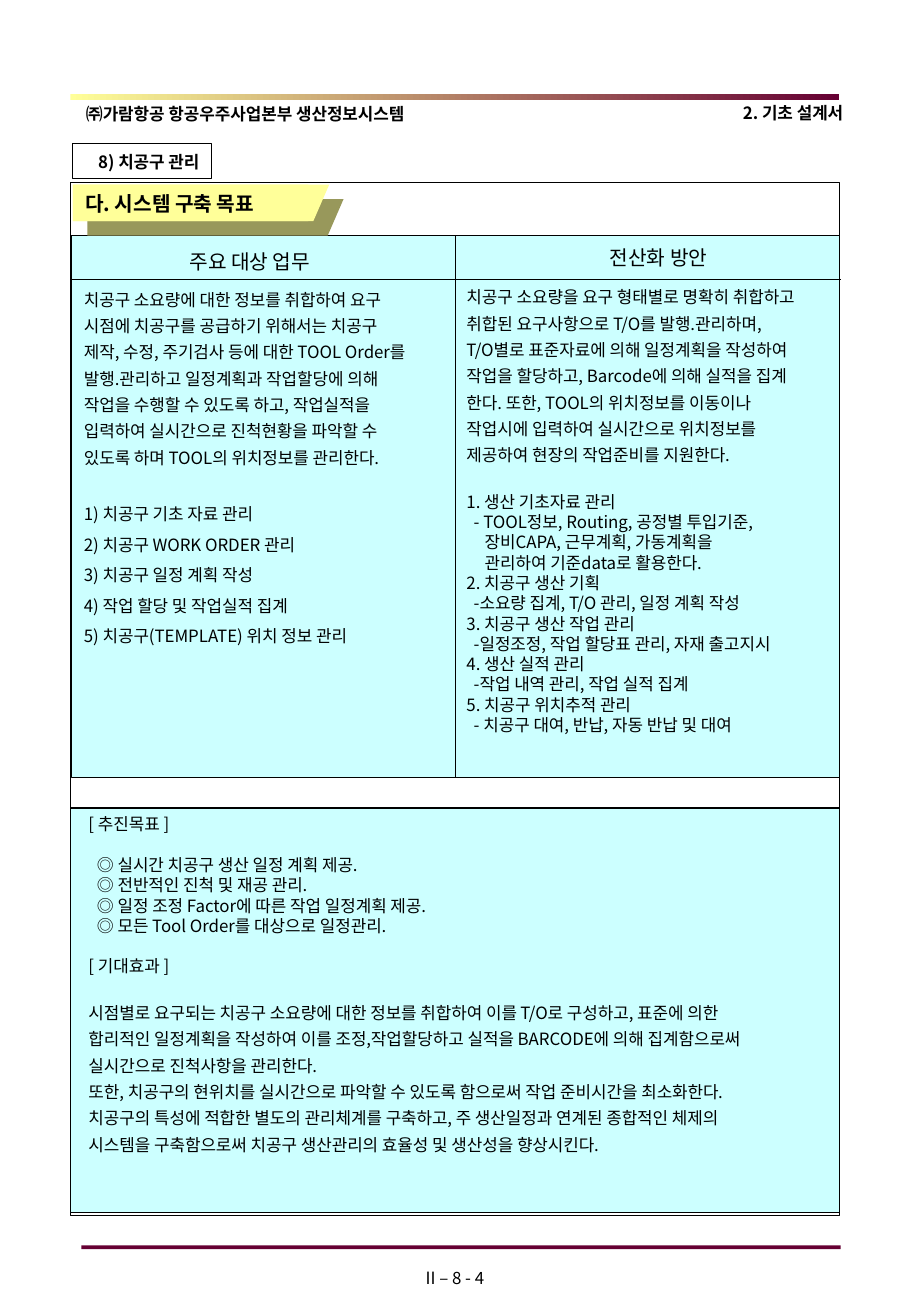
import pptx
import pptx.dml.color
import pptx.enum.shapes
import pptx.enum.text
import pptx.oxml.ns
import pptx.util
from lxml import etree

PX = 9144  # one px is a hundredth of an inch
FONT = "Noto Sans CJK KR"
BLACK, WINE, CREAM, OLIVE, CYAN = "000000", "660033", "FFFF99", "98985B", "CCFFFF"
LEFT, CENTER, RIGHT = (getattr(pptx.enum.text.PP_ALIGN, name) for name in ("LEFT", "CENTER", "RIGHT"))
BLANK_WIDE, BLANK = 15.6, 12


def color(value):
    return pptx.dml.color.RGBColor.from_string(value)


def add_child(parent, tag, **attributes):
    return etree.SubElement(parent, pptx.oxml.ns.qn(tag), attributes)


def paint(shape, fill=None, line=None, width=0.75):
    shape.shadow.inherit = False
    if fill:
        shape.fill.solid()
        shape.fill.fore_color.rgb = color(fill)
    else:
        shape.fill.background()
    if line:
        shape.line.color.rgb = color(line)
        shape.line.width = pptx.util.Pt(width)
    else:
        shape.line.fill.background()


def add_rect(page, box, fill=None, line=None, width=0.75):
    rect = page.shapes.add_shape(pptx.enum.shapes.MSO_SHAPE.RECTANGLE, *(n * PX for n in box))
    paint(rect, fill, line, width)
    return rect


def add_line(page, x1, y1, x2, y2):
    line = page.shapes.add_connector(
        pptx.enum.shapes.MSO_CONNECTOR.STRAIGHT, x1 * PX, y1 * PX, x2 * PX, y2 * PX)
    line.line.color.rgb = color(BLACK)
    line.line.width = pptx.util.Pt(0.75)
    add_child(line.element.spPr, "a:effectLst")
    return line


def block(texts, spacing=1.0, before=0, indent=0):
    """Lines sharing spacing and indent; before is the gap above the first, in points."""
    return [(text, spacing, 0 if i else before, indent) for i, text in enumerate(texts)]


def write(shape, lines, size=10, bold=False, align=LEFT):
    frame = shape.text_frame
    frame.word_wrap = True
    frame.auto_size = pptx.enum.text.MSO_AUTO_SIZE.NONE
    frame.vertical_anchor = pptx.enum.text.MSO_ANCHOR.TOP
    frame.margin_left = frame.margin_right = 10 * PX
    frame.margin_top = frame.margin_bottom = 5 * PX
    for i, (text, spacing, before, indent) in enumerate(lines):
        para = frame.add_paragraph() if i else frame.paragraphs[0]
        properties = para._p.get_or_add_pPr()
        properties.set("marL", str(indent * PX))
        properties.set("indent", "0")
        add_child(properties, "a:buNone")
        para.alignment = align
        para.line_spacing = spacing
        para.space_before = pptx.util.Pt(before)
        para.space_after = pptx.util.Pt(0)
        span = para.add_run()
        span.text = text
        span.font.size = pptx.util.Pt(size)
        span.font.bold = bold
        span.font.color.rgb = color(BLACK)
        span.font.name = FONT
        add_child(span._r.get_or_add_rPr(), "a:ea", typeface=FONT)


def add_text(page, box, lines, **style):
    write(page.shapes.add_textbox(*(n * PX for n in box)), lines, **style)


def fill_placeholder(page, index, box, lines, **style):
    """Move a placeholder to the box, bring it to the front and fill in its text."""
    holder = page.placeholders[index]
    holder.left, holder.top, holder.width, holder.height = (n * PX for n in box)
    holder.element.getparent().append(holder.element)
    write(holder, lines, **style)
    return holder


def page_frame(page, left, top, width, height):
    add_text(page, (left + 3, top - 71, 330, 29),
             block(["㈜가람항공 항공우주사업본부 생산정보시스템"], 1.1), bold=True)
    add_text(page, (294, top + 888, 161, 27), block(["II – 8 - 4"]), align=CENTER)
    add_rect(page, (left, top, width, height), line=BLACK, width=0.25)
    band = add_rect(page, (left, top - 73, width, 5), CREAM)
    band.fill.gradient()
    band.fill.gradient_angle = 0
    for stop, value, position in zip(band.fill.gradient_stops, (CREAM, WINE), (0, 1)):
        stop.color.rgb = color(value)
        stop.position = position
    add_rect(page, (left + 9, top + 875, width - 8, 3), WINE)
    add_text(page, (left + 502, top - 72, 144, 29), block(["2. 기초 설계서"], 1.1),
             bold=True, align=RIGHT)
    section = add_rect(page, (left + 2, top - 32, 114, 29), line=BLACK)
    write(section, block(["8) 치공구 관리"], 1.1), bold=True, align=RIGHT)


def task_grid(page, left, top, width, height):
    grid = add_rect(page, (left, top, width, height), CYAN, BLACK)
    middle = left + width // 2
    add_line(page, left - 1, top + 36, left + width + 1, top + 36)
    divider = add_line(page, middle, top, middle, top + height)
    divider.begin_connect(grid, 0)
    divider.end_connect(grid, 2)
    fill_placeholder(page, 1, (left + 87, top + 6, 150, 30), block(["주요 대상 업무"]), size=12)
    fill_placeholder(page, 3, (left + 433, top + 3, 150, 30), block(["전산화 방안"]), size=12)
    tasks = block([
        "치공구 소요량에 대한 정보를 취합하여 요구",
        "시점에 치공구를 공급하기 위해서는 치공구",
        "제작, 수정, 주기검사 등에 대한 TOOL Order를",
        "발행.관리하고 일정계획과 작업할당에 의해",
        "작업을 수행할 수 있도록 하고, 작업실적을",
        "입력하여 실시간으로 진척현황을 파악할 수",
        "있도록 하며 TOOL의 위치정보를 관리한다."], 1.3)
    tasks += block([
        "1) 치공구 기초 자료 관리",
        "2) 치공구 WORK ORDER 관리",
        "3) 치공구 일정 계획 작성",
        "4) 작업 할당 및 작업실적 집계",
        "5) 치공구(TEMPLATE) 위치 정보 관리"], 1.5, BLANK_WIDE)
    fill_placeholder(page, 2, (left, top + 34, 333, 309), tasks)
    plans = block([
        "치공구 소요량을 요구 형태별로 명확히 취합하고",
        "취합된 요구사항으로 T/O를 발행.관리하며,",
        "T/O별로 표준자료에 의해 일정계획을 작성하여",
        "작업을 할당하고, Barcode에 의해 실적을 집계",
        "한다. 또한, TOOL의 위치정보를 이동이나",
        "작업시에 입력하여 실시간으로 위치정보를",
        "제공하여 현장의 작업준비를 지원한다."], 1.3)
    plans += block(["1. 생산 기초자료 관리"], before=BLANK_WIDE)
    plans += block(["- TOOL정보, Routing, 공정별 투입기준,"], indent=6)
    plans += block(["장비CAPA, 근무계획, 가동계획을", "관리하여 기준data로 활용한다."], indent=15)
    for heading, detail in (
            ("2. 치공구 생산 기획", "-소요량 집계, T/O 관리, 일정 계획 작성"),
            ("3. 치공구 생산 작업 관리", "-일정조정, 작업 할당표 관리, 자재 출고지시"),
            ("4. 생산 실적 관리", "-작업 내역 관리, 작업 실적 집계"),
            ("5. 치공구 위치추적 관리", "- 치공구 대여, 반납, 자동 반납 및 대여")):
        plans += block([heading]) + block([detail], indent=6)
    fill_placeholder(page, 4, (middle - 1, top + 32, 322, 384), plans)


def goals_panel(page, left, top, width, height):
    add_rect(page, (left, top, width, height), CYAN, BLACK)
    lines = block(["[ 추진목표 ]"])
    lines += block([
        "◎ 실시간 치공구 생산 일정 계획 제공.",
        "◎ 전반적인 진척 및 재공 관리.",
        "◎ 일정 조정 Factor에 따른 작업 일정계획 제공.",
        "◎ 모든 Tool Order를 대상으로 일정관리."], before=BLANK, indent=7)
    lines += block(["[ 기대효과 ]"], before=BLANK)
    lines += block([
        "시점별로 요구되는 치공구 소요량에 대한 정보를 취합하여 이를 T/O로 구성하고, 표준에 의한",
        "합리적인 일정계획을 작성하여 이를 조정,작업할당하고 실적을 BARCODE에 의해 집계함으로써",
        "실시간으로 진척사항을 관리한다.",
        "또한, 치공구의 현위치를 실시간으로 파악할 수 있도록 함으로써 작업 준비시간을 최소화한다.",
        "치공구의 특성에 적합한 별도의 관리체계를 구축하고, 주 생산일정과 연계된 종합적인 체제의",
        "시스템을 구축함으로써 치공구 생산관리의 효율성 및 생산성을 향상시킨다."], 1.3, BLANK)
    add_text(page, (left + 5, top, width + 6, 291), lines)


def title_tab(page, left, top, width, height):
    right, bottom = left + width, top + height
    outline = page.shapes.build_freeform(left * PX, bottom * PX)
    outline.add_line_segments(
        [(x * PX, y * PX) for x, y in ((left, top), (right, top), (right - 13, bottom))])
    tab = outline.convert_to_shape()
    paint(tab, CREAM)
    effects = tab.element.spPr.find(pptx.oxml.ns.qn("a:effectLst"))
    shadow = add_child(effects, "a:outerShdw", dist=str(pptx.util.Pt(12.1)), dir="2700000",
                       algn="tl", rotWithShape="0")
    add_child(shadow, "a:srgbClr", val=OLIVE)
    title = fill_placeholder(page, 0, (left, top, width - 17, height),
                             block(["다. 시스템 구축 목표"]), size=12, bold=True)
    title.fill.solid()
    title.fill.fore_color.rgb = color(CREAM)


def main():
    deck = pptx.Presentation()
    deck.slide_width, deck.slide_height = 750 * PX, 1083 * PX
    page = deck.slides.add_slide(deck.slide_layouts.get_by_name("Comparison"))
    page_frame(page, 58, 150, 633, 850)
    task_grid(page, 59, 194, 632, 446)
    goals_panel(page, 58, 665, 633, 333)
    title_tab(page, 60, 152, 211, 30)
    deck.save("out.pptx")


if __name__ == "__main__":
    main()
